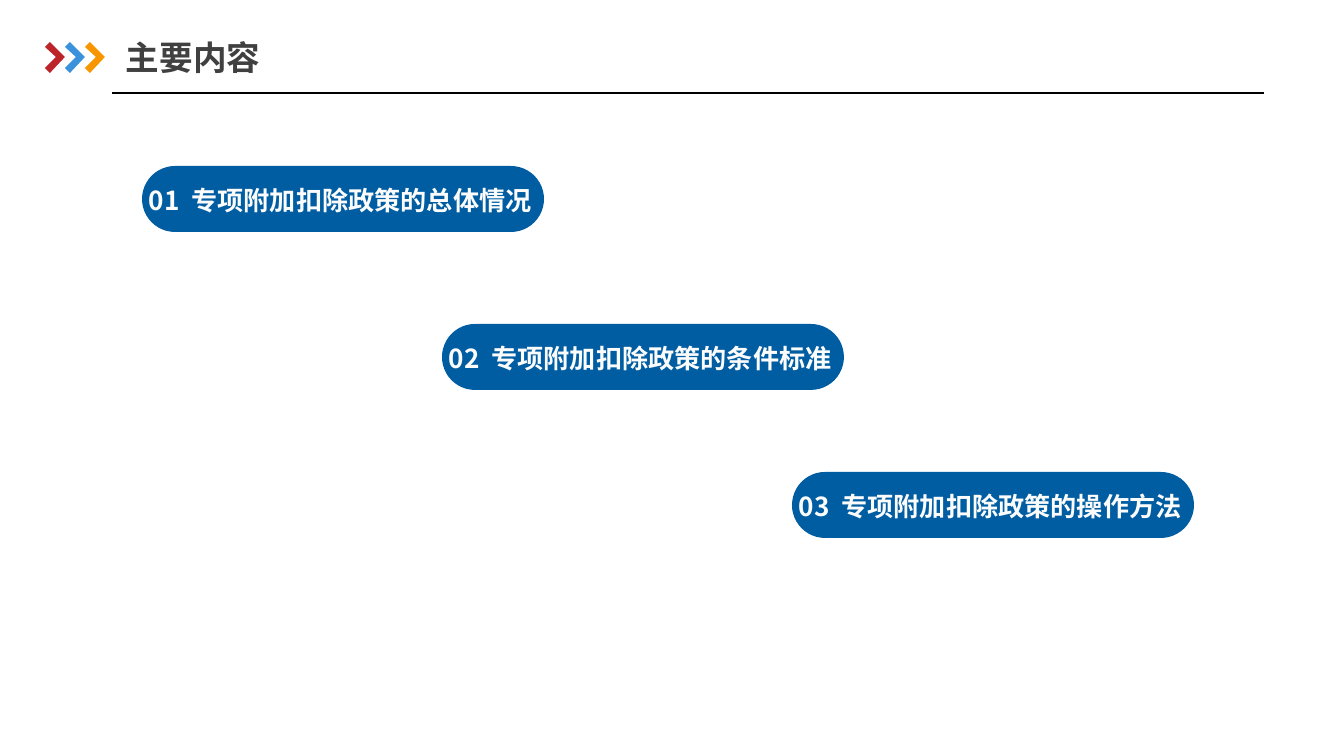
from dataclasses import dataclass

from lxml import etree
from pptx import Presentation
from pptx.dml.color import RGBColor
from pptx.enum.shapes import MSO_CONNECTOR, MSO_SHAPE
from pptx.enum.text import MSO_ANCHOR, PP_ALIGN
from pptx.oxml.ns import qn
from pptx.util import Pt

STRAIGHT = MSO_CONNECTOR.STRAIGHT
ROUNDED = MSO_SHAPE.ROUNDED_RECTANGLE
MIDDLE = MSO_ANCHOR.MIDDLE
LEFT, CENTER = PP_ALIGN.LEFT, PP_ALIGN.CENTER
EMU_PER_PX = 914400 / 134.4


def px(n):
    return round(n * EMU_PER_PX)


@dataclass
class Theme:
    font: str = "Noto Sans CJK SC"
    title: str = "404040"
    rule: str = "000000"
    pill: str = "005DA2"
    label: str = "FCFCFC"
    chevrons: tuple = ("BC242A", "3992DB", "F79600")
    title_size: int = 18
    label_size: int = 14


class Deck:
    """Draws the elements of one slide in one theme."""

    def __init__(self, slide, theme):
        self.shapes = slide.shapes
        self.theme = theme

    def paint(self, sp, color):
        sp.shadow.inherit = False
        sp.fill.solid()
        sp.fill.fore_color.rgb = RGBColor.from_string(color)
        sp.line.fill.background()

    def text(self, x, y, w, h, parts, size, color, align=LEFT, inset=0, before=0):
        tf = self.shapes.add_textbox(px(x), px(y), px(w), px(h)).text_frame
        tf.word_wrap = True
        tf.vertical_anchor = MIDDLE
        tf.margin_left = tf.margin_right = px(inset)
        p = tf.paragraphs[0]
        p.alignment = align
        p.space_before = Pt(before)
        p.font.size = Pt(size)
        p.font.bold = True
        p.font.color.rgb = RGBColor.from_string(color)
        p.font.name = self.theme.font
        etree.SubElement(p.font._element, qn("a:ea")).set("typeface", self.theme.font)
        for part in parts:
            p.add_run().text = part
        return p

    def title(self, x, y, w, h, text):
        self.text(x, y, w, h, [text], self.theme.title_size, self.theme.title)

    def rule(self, x1, x2, y):
        ln = self.shapes.add_connector(STRAIGHT, px(x1), px(y), px(x2), px(y))
        ln.line.color.rgb = RGBColor.from_string(self.theme.rule)
        ln.line.width = Pt(0.75)
        etree.SubElement(ln._element.spPr, qn("a:effectLst"))

    def chevron(self, x, y, color):
        points = [(5, 0), (20, 15), (5, 31), (0, 26), (11, 15), (0, 5)]
        points = [(px(x + dx), px(y + dy)) for dx, dy in points]
        fb = self.shapes.build_freeform(*points[0], scale=1.0)
        fb.add_line_segments(points[1:], close=True)
        self.paint(fb.convert_to_shape(), color)

    def pill(self, x, y, number, label):
        sp = self.shapes.add_shape(ROUNDED, px(x), px(y), px(402), px(66))
        sp.adjustments[0] = 0.5
        self.paint(sp, self.theme.pill)
        p = self.text(x - 24, y + 11, 445, 46, [number, " ", label],
                      self.theme.label_size, self.theme.label, CENTER, 13, 3.5)
        p.runs[1].font._element.set("spc", "300")


def main():
    prs = Presentation()
    prs.slide_width, prs.slide_height = px(1344), px(756)
    theme = Theme()
    deck = Deck(prs.slides.add_slide(prs.slide_layouts[6]), theme)

    deck.title(126, 30, 378, 55, "主要内容")
    deck.rule(112, 1264, 93)
    for i, color in enumerate(theme.chevrons):
        deck.chevron(45 + 20 * i, 42, color)

    topics = [
        (142, 166, "专项附加扣除政策的总体情况"),
        (442, 324, "专项附加扣除政策的条件标准"),
        (792, 472, "专项附加扣除政策的操作方法"),
    ]
    for i, (x, y, label) in enumerate(topics, 1):
        deck.pill(x, y, f"{i:02d}", label)

    prs.save("out.pptx")


if __name__ == "__main__":
    main()
